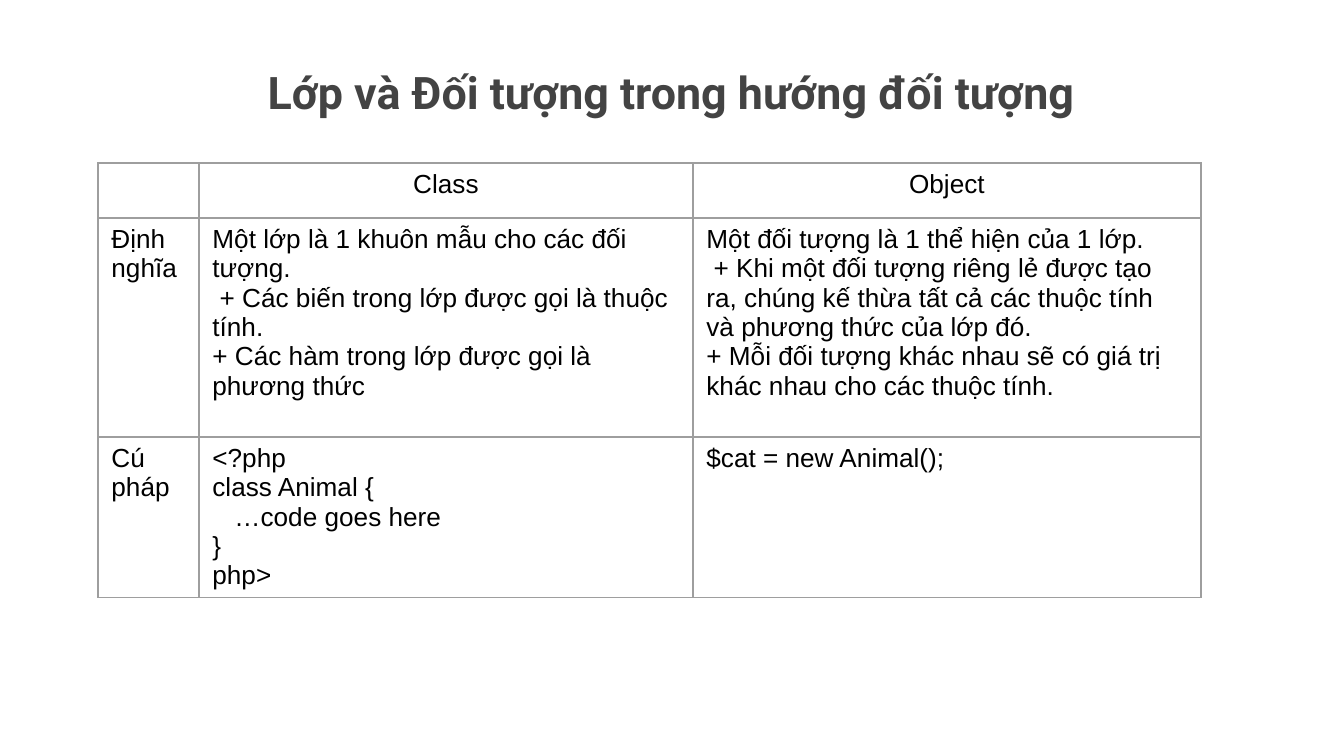
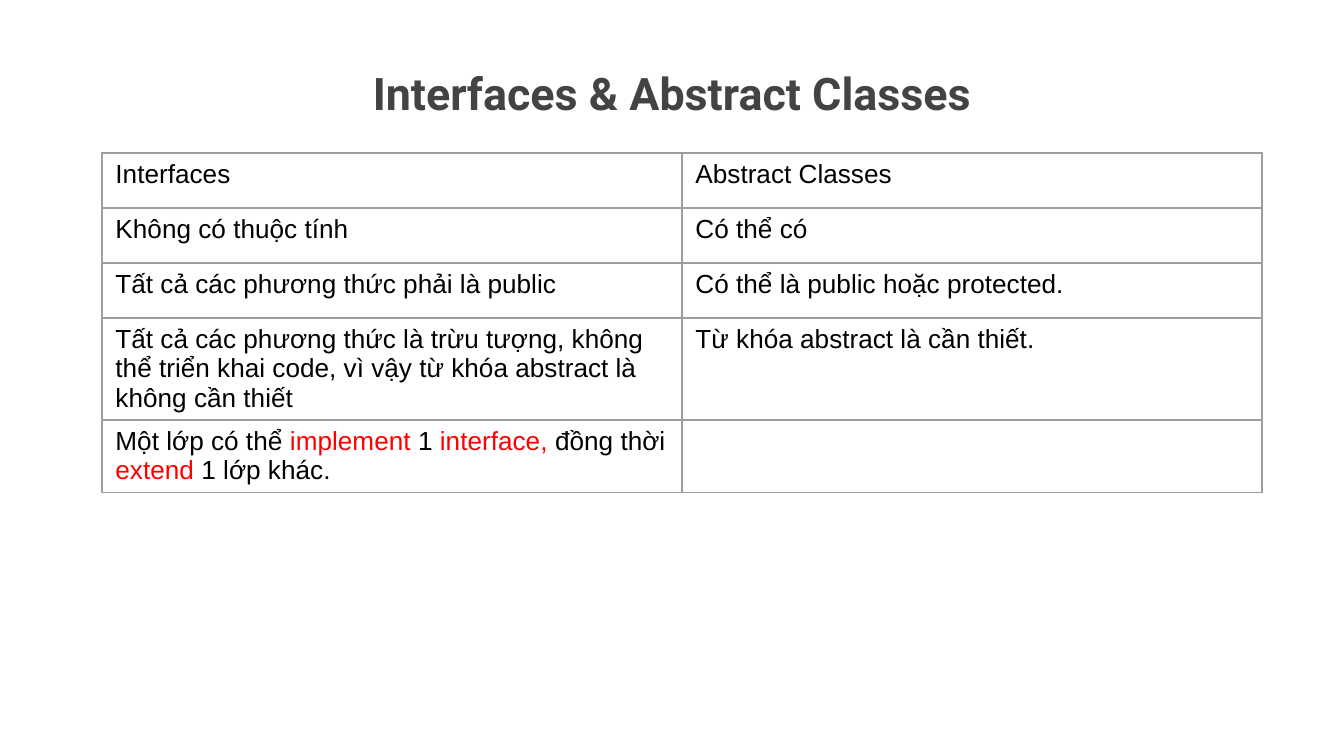
from lxml.etree import SubElement
from pptx import Presentation
from pptx.dml.color import RGBColor
from pptx.enum.text import MSO_ANCHOR, MSO_AUTO_SIZE, PP_ALIGN
from pptx.oxml.ns import qn
from pptx.util import Pt

EMU_PER_PX = 914400 / 134.4
SLIDE_SIZE = (1344, 756)
CODE_INDENT = 22
GRID, WHITE, RED = "9E9E9E", "FFFFFF", "FF0000"
TITLE_FONT = {"name": "Roboto", "size": Pt(24), "bold": True}
TITLE_COLOUR = "434343"
BODY_FONT = {"name": "Arial", "size": Pt(14), "bold": False}
BODY_COLOUR = "000000"

CLASS_AND_OBJECT = {
    "title": "Lớp và Đối tượng trong hướng đối tượng",
    "title_box": (243, 51, 856, 138),
    "origin": (98, 163),
    "columns": (101, 494, 508),
    "heights": (55, 219, 160),
    "header_align": PP_ALIGN.CENTER,
    "rows": [
        ["", "Class", "Object"],
        ["Định nghĩa",
         "Một lớp là 1 khuôn mẫu cho các đối tượng.\n"
         " + Các biến trong lớp được gọi là thuộc tính.\n"
         "+ Các hàm trong lớp được gọi là phương thức",
         "Một đối tượng là 1 thể hiện của 1 lớp.\n"
         " + Khi một đối tượng riêng lẻ được tạo ra, chúng kế thừa "
         "tất cả các thuộc tính và phương thức của lớp đó.\n"
         "+ Mỗi đối tượng khác nhau sẽ có giá trị khác nhau cho các thuộc tính."],
        ["Cú pháp",
         "<?php\nclass Animal {\n\t…code goes here\n}\nphp>",
         "$cat = new Animal();"],
    ],
}

INTERFACE_AND_ABSTRACT = {
    "title": "Interfaces & Abstract Classes",
    "title_box": (289, 52, 766, 138),
    "origin": (102, 153),
    "columns": (580, 580),
    "heights": (55, 55, 55, 102, 72),
    "header_align": PP_ALIGN.LEFT,
    "rows": [
        ["Interfaces", "Abstract Classes"],
        ["Không có thuộc tính", "Có thể có"],
        ["Tất cả các phương thức phải là public", "Có thể là public hoặc protected."],
        ["Tất cả các phương thức là trừu tượng, không thể triển khai code, "
         "vì vậy từ khóa abstract là không cần thiết",
         "Từ khóa abstract là cần thiết."],
        ["Một lớp có thể *implement *1* interface, *đồng thời *extend* 1 lớp khác.", ""],
    ],
}


def px(length):
    """Turn px into EMU."""
    return round(length * EMU_PER_PX)


def colour(value):
    """Turn a hex string into a colour."""
    return RGBColor.from_string(value)


def apply(target, values):
    """Set each attribute of the target from a dict."""
    for name, value in values.items():
        setattr(target, name, value)


def style_font(font, values, hex_colour):
    """Format a font and colour it."""
    apply(font, values)
    font.color.rgb = colour(hex_colour)


def place_title(slide, text, box):
    """Move, fill and format the title placeholder."""
    title = slide.shapes.title
    apply(title, dict(zip(("left", "top", "width", "height"), map(px, box))))
    frame = title.text_frame
    margins = dict.fromkeys(
        ("margin_left", "margin_top", "margin_right", "margin_bottom"), Pt(7.2))
    apply(frame, {**margins, "word_wrap": True, "auto_size": MSO_AUTO_SIZE.NONE,
                  "vertical_anchor": MSO_ANCHOR.TOP})
    frame.text = text
    paragraph = frame.paragraphs[0]
    paragraph.alignment = PP_ALIGN.CENTER
    style_font(paragraph.runs[0].font, TITLE_FONT, TITLE_COLOUR)


def draw_borders(cell):
    """Give a cell a thin line on all four sides."""
    properties = cell._tc.get_or_add_tcPr()
    for side in ("a:lnL", "a:lnR", "a:lnT", "a:lnB"):
        line = SubElement(properties, qn(side), w=str(Pt(0.75)))
        fill = SubElement(line, qn("a:solidFill"))
        SubElement(fill, qn("a:srgbClr"), val=GRID)


def write_line(paragraph, line, align):
    """Write one line, red between asterisks and indented after a tab."""
    paragraph.alignment = align
    if line.startswith("\t"):
        properties = paragraph._p.get_or_add_pPr()
        properties.set("marL", str(px(CODE_INDENT)))
        properties.set("indent", "0")
    for index, part in enumerate(line.lstrip("\t").split("*")):
        run = paragraph.add_run()
        run.text = part
        style_font(run.font, BODY_FONT, RED if index % 2 else BODY_COLOUR)


def fill_cell(cell, text, align):
    """Fill, outline and write one table cell."""
    apply(cell, {"margin_left": Pt(7.2), "margin_right": Pt(7.2),
                 "margin_top": Pt(3.6), "margin_bottom": Pt(3.6),
                 "vertical_anchor": MSO_ANCHOR.TOP})
    draw_borders(cell)
    cell.fill.background()
    if not text:
        return
    frame = cell.text_frame
    for index, line in enumerate(text.split("\n")):
        paragraph = frame.add_paragraph() if index else frame.paragraphs[0]
        write_line(paragraph, line, align)


def place_comparison(slide, origin, columns, heights, rows, header_align):
    """Build the comparison table from its top left corner."""
    box = (*origin, sum(columns), sum(heights))
    table = slide.shapes.add_table(len(rows), len(columns), *map(px, box)).table
    apply(table, {"first_row": False, "horz_banding": False})
    for column, width in zip(table.columns, columns):
        column.width = px(width)
    for r, (row, height) in enumerate(zip(rows, heights)):
        table.rows[r].height = px(height)
        for c, text in enumerate(row):
            fill_cell(table.cell(r, c), text, PP_ALIGN.LEFT if r else header_align)


def comparison_slide(deck, title, title_box, **comparison):
    """Add one slide with a title above a comparison table."""
    slide = deck.slides.add_slide(deck.slide_layouts[5])
    background = slide.background.fill
    background.solid()
    background.fore_color.rgb = colour(WHITE)
    place_title(slide, title, title_box)
    place_comparison(slide, **comparison)


def main():
    """Build and save the deck."""
    deck = Presentation()
    deck.slide_width, deck.slide_height = map(px, SLIDE_SIZE)
    for content in (CLASS_AND_OBJECT, INTERFACE_AND_ABSTRACT):
        comparison_slide(deck, **content)
    deck.save("out.pptx")


if __name__ == "__main__":
    main()
